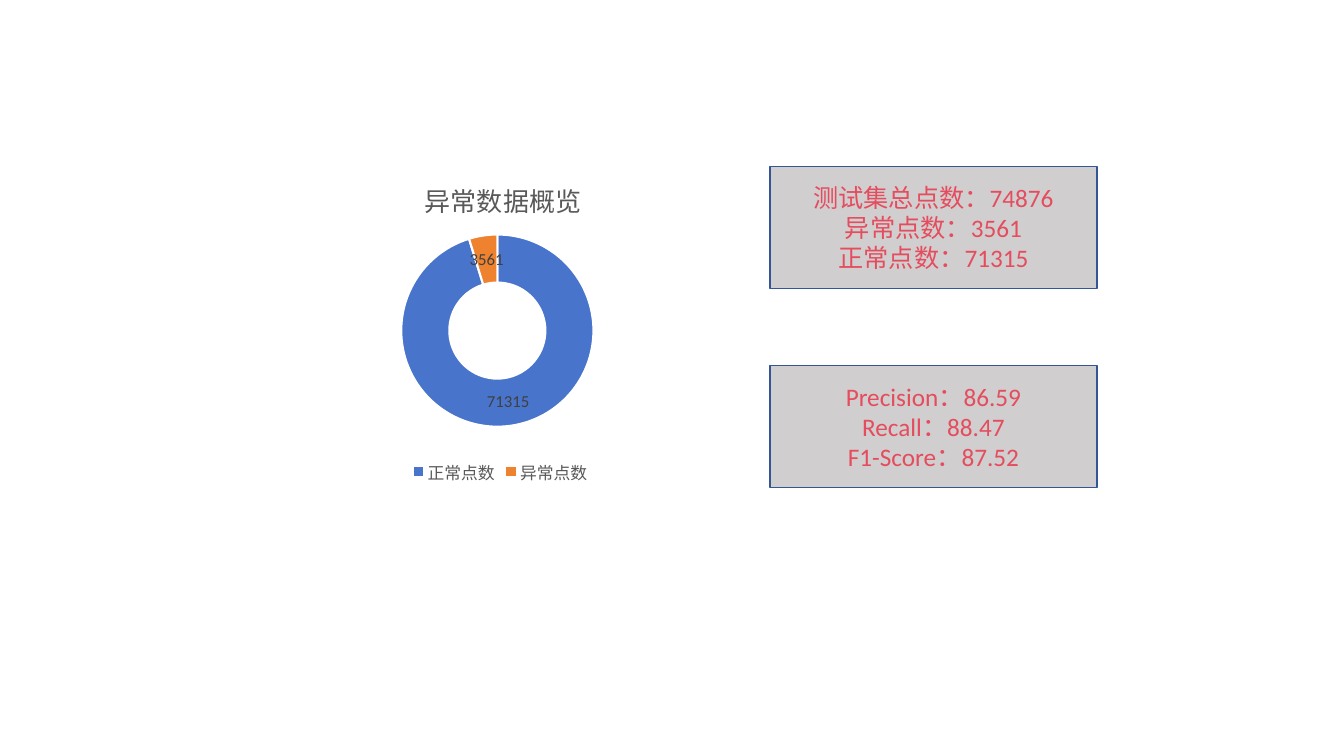
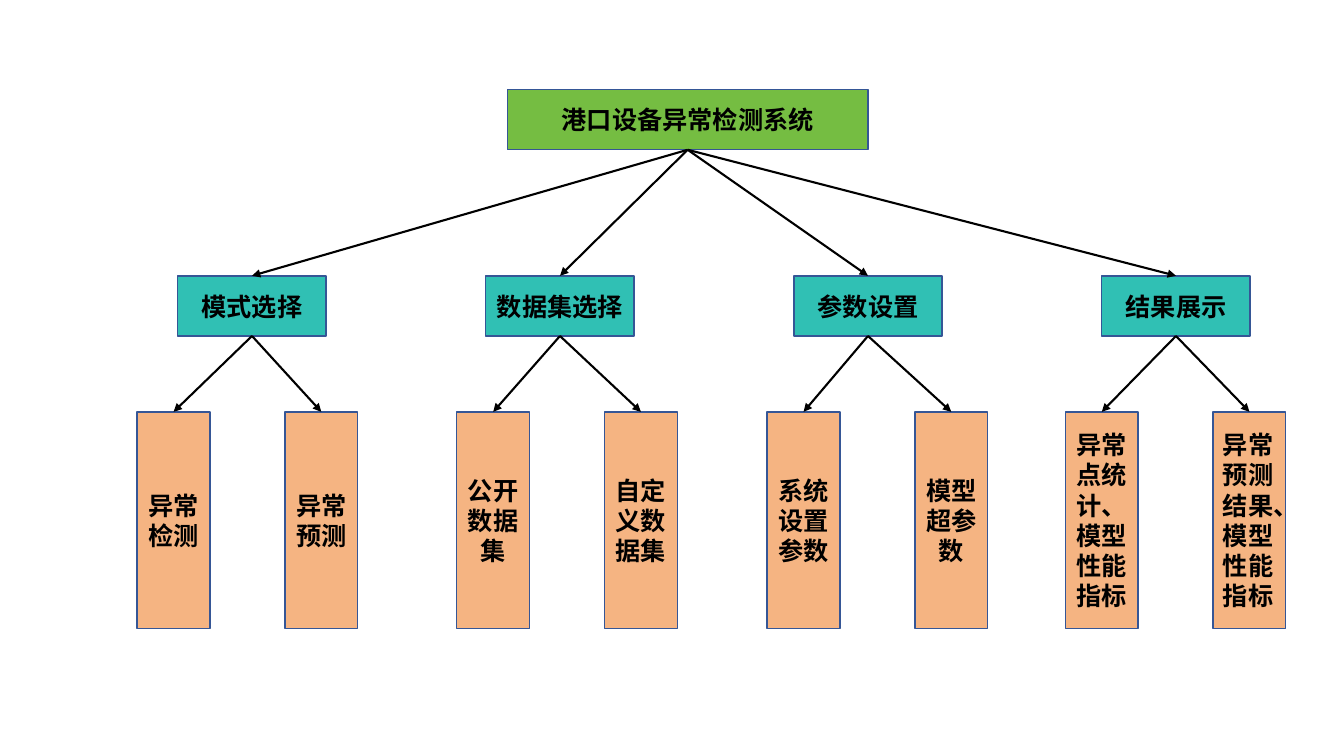
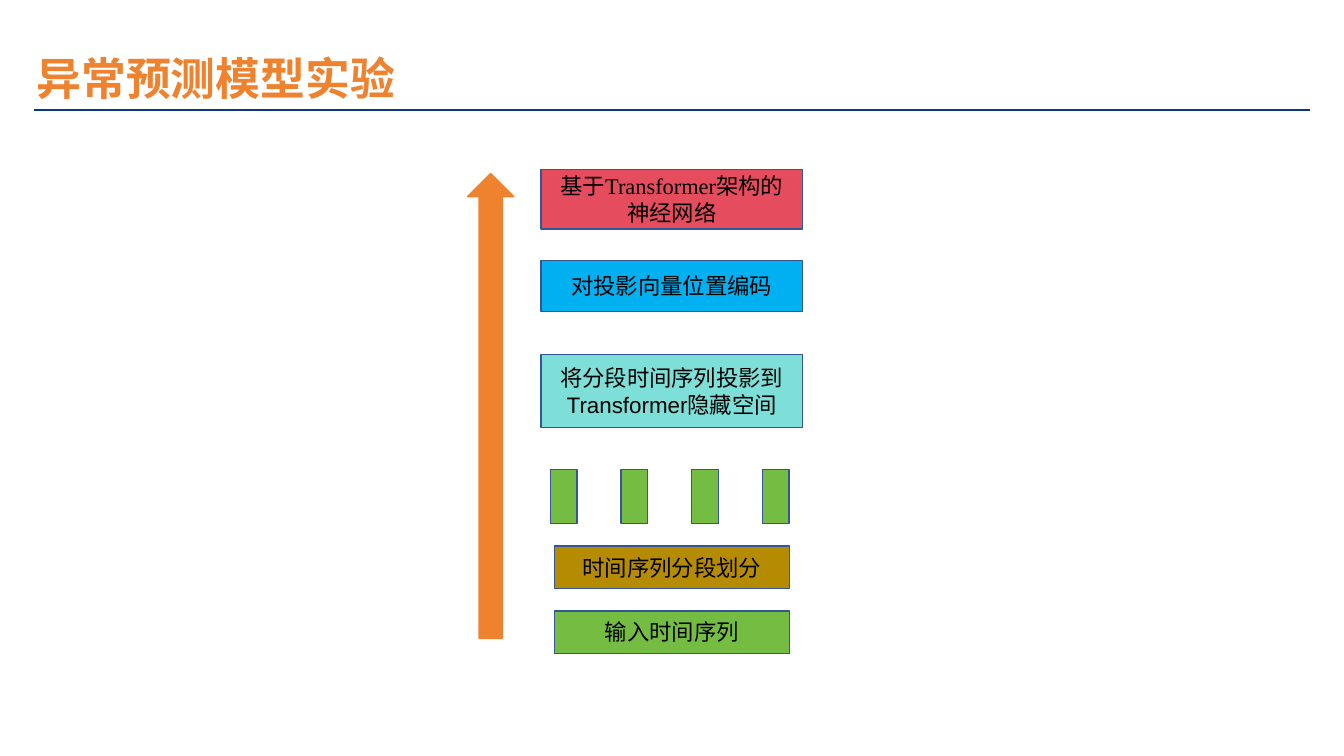
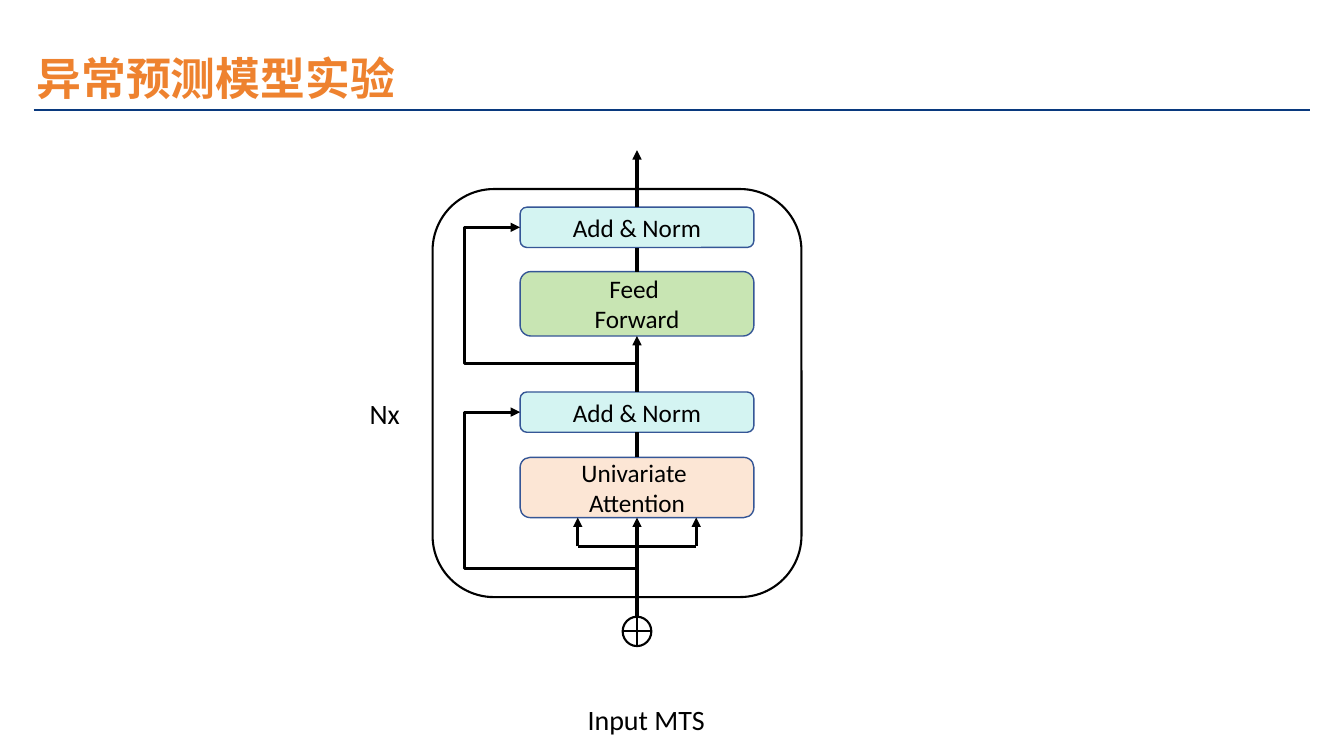
from dataclasses import dataclass

from lxml.etree import SubElement
from pptx import Presentation
from pptx.chart.data import CategoryChartData
from pptx.dml.color import RGBColor
from pptx.enum.chart import XL_CHART_TYPE as ChartKind, XL_LEGEND_POSITION as LegendPlace
from pptx.enum.shapes import MSO_CONNECTOR as Link, MSO_SHAPE as Form
from pptx.enum.text import MSO_ANCHOR as Anchor, PP_ALIGN as Align
from pptx.oxml import parse_xml
from pptx.oxml.ns import nsdecls, qn
from pptx.util import Pt

BLACK = "000000"
WHITE = "FFFFFF"
OUTLINE = "355696"
GREEN = "75BD42"
ORANGE = "EE822F"
BLUE = "4874CB"
RED = "E54C5E"
TEAL = "30C0B4"
PEACH = "F5B482"
MINT = "D4F4F2"
GREY = "D0CECE"
BODY_FONT = "Calibri"
TITLE_FONT = "Noto Sans CJK SC"
TOP, LEFT, BOTTOM = 0, 1, 2


@dataclass(frozen=True)
class TextStyle:
    size: float = 18
    colour: str = BLACK
    bold: bool = False
    font: str = BODY_FONT
    align: Align = Align.CENTER


@dataclass(frozen=True)
class Box:
    left: float
    top: float
    width: float
    height: float
    fill: str | None
    lines: tuple[str, ...] = ()
    style: TextStyle = TextStyle()
    form: Form = Form.RECTANGLE
    line: str = OUTLINE
    line_width: float = 1


@dataclass(frozen=True)
class Branch:
    label: str
    leaves: tuple[str, str]
    leaf_left: float
    last_align: Align = Align.CENTER


BRANCHES = (
    Branch("模式选择", ("异常检测", "异常预测"), 98),
    Branch("数据集选择", ("公开数据集", "自定义数据集"), 326.3),
    Branch("参数设置", ("系统设置参数", "模型超参数"), 548),
    Branch("结果展示", ("异常点统计、模型性能指标", "异常预测结果、模型性能指标"), 761, Align.LEFT),
)


def rgb(colour: str) -> RGBColor:
    return RGBColor.from_string(colour)


def set_font(font, size: float, colour: str, name: str = BODY_FONT, bold: bool = False) -> None:
    font.size = Pt(size)
    font.name = name
    font.bold = bold
    font.color.rgb = rgb(colour)


def write_lines(frame, lines: tuple[str, ...], style: TextStyle) -> None:
    frame.word_wrap = True
    for index, line in enumerate(lines):
        para = frame.add_paragraph() if index else frame.paragraphs[0]
        para.text = line
        para.alignment = style.align
        set_font(para.font, style.size, style.colour, style.font, style.bold)
        if style.font == TITLE_FONT:
            properties = para.font._element
            SubElement(properties, qn("a:ea")).set("typeface", TITLE_FONT)


def draw_box(page, box: Box):
    shape = page.shapes.add_shape(
        box.form, Pt(box.left), Pt(box.top), Pt(box.width), Pt(box.height))
    shape.shadow.inherit = False
    if box.fill:
        shape.fill.solid()
        shape.fill.fore_color.rgb = rgb(box.fill)
    else:
        shape.fill.background()
    shape.line.color.rgb = rgb(box.line)
    shape.line.width = Pt(box.line_width)
    shape.text_frame.vertical_anchor = Anchor.MIDDLE
    write_lines(shape.text_frame, box.lines, box.style)
    return shape


def draw_text(page, left: float, top: float, width: float, height: float,
              text: str, style: TextStyle) -> None:
    box = page.shapes.add_textbox(Pt(left), Pt(top), Pt(width), Pt(height))
    write_lines(box.text_frame, (text,), style)


def draw_line(page, start: tuple[float, float], end: tuple[float, float],
              width: float = 2.25, arrow: bool = False, colour: str = BLACK,
              kind: Link = Link.STRAIGHT):
    line = page.shapes.add_connector(
        kind, Pt(start[0]), Pt(start[1]), Pt(end[0]), Pt(end[1]))
    line.line.color.rgb = rgb(colour)
    line.line.width = Pt(width)
    if arrow:
        SubElement(line.line._get_or_add_ln(), qn("a:tailEnd")).set("type", "triangle")
    SubElement(line._element.spPr, qn("a:effectLst"))
    return line


def join(page, source, source_side: int, target, target_side: int,
         width: float = 2.25, arrow: bool = False) -> None:
    line = draw_line(page, (0, 0), (1, 1), width, arrow)
    line.begin_connect(source, source_side)
    line.end_connect(target, target_side)


def draw_bypass(page, start: tuple[float, float], end: tuple[float, float],
                lane: float) -> None:
    elbow = draw_line(page, start, end, arrow=True, kind=Link.ELBOW)
    geometry = elbow._element.spPr.find(qn("a:prstGeom"))
    guides = geometry.find(qn("a:avLst"))
    if guides is None:
        guides = SubElement(geometry, qn("a:avLst"))
    ratio = (start[0] - lane) / (start[0] - end[0])
    guide = SubElement(guides, qn("a:gd"))
    guide.set("name", "adj1")
    guide.set("fmla", f"val {round(ratio * 100000)}")


def draw_heading(page) -> None:
    draw_line(page, (24, 78.5), (936, 78.5), 1, colour="09397E")
    draw_text(page, 19, 33, 528, 46, "异常预测模型实验",
              TextStyle(32, ORANGE, True, TITLE_FONT, Align.LEFT))


def place_part(part, index: int, values: dict[str, float]) -> None:
    old = part.find(qn("c:layout"))
    if old is not None:
        part.remove(old)
    modes = "".join(f'<c:{axis}Mode val="edge"/>' for axis in "xy")
    sizes = "".join(f'<c:{name} val="{value}"/>' for name, value in values.items())
    target = '<c:layoutTarget val="inner"/>' if "w" in values else ""
    part.insert(index, parse_xml(
        f'<c:layout {nsdecls("c")}><c:manualLayout>{target}{modes}{sizes}'
        "</c:manualLayout></c:layout>"))


def draw_doughnut(page) -> None:
    data = CategoryChartData()
    data.categories = ["正常点数", "异常点数"]
    data.add_series("Series 1", (71315, 3561))
    chart = page.shapes.add_chart(
        ChartKind.DOUGHNUT, Pt(136), Pt(109), Pt(443), Pt(240), data).chart
    set_font(chart.font, 10, BLACK)

    chart.has_title = True
    para = chart.chart_title.text_frame.paragraphs[0]
    para.text = "异常数据概览"
    set_font(para.font, 18.6, "595959")
    place_part(chart.element.xpath("c:chart/c:title")[0], 1, {"x": 0.37, "y": 0.06})
    place_part(chart.element.xpath("c:chart/c:plotArea")[0], 0,
               {"x": 0.34, "y": 0.24, "w": 0.31, "h": 0.58})

    chart.has_legend = True
    chart.legend.position = LegendPlace.BOTTOM
    chart.legend.include_in_layout = False
    set_font(chart.legend.font, 12, "595959")

    plot = chart.plots[0]
    plot.vary_by_categories = True
    chart.element.xpath(".//c:holeSize")[0].set("val", "75")
    plot.has_data_labels = True
    plot.data_labels.show_value = True
    plot.data_labels.show_percentage = False
    set_font(plot.data_labels.font, 12, "404040")
    for index, colour in enumerate((BLUE, ORANGE)):
        point = plot.series[0].points[index].format
        point.fill.solid()
        point.fill.fore_color.rgb = rgb(colour)
        point.line.color.rgb = rgb(WHITE)
        point.line.width = Pt(1.5)


def build_overview(page) -> None:
    cards = (
        ("测试集总点数：74876", "异常点数：3561", "正常点数：71315"),
        ("Precision：86.59", "Recall：88.47", "F1-Score：87.52"),
    )
    for index, lines in enumerate(cards):
        draw_box(page, Box(550, 119 + 142.2 * index, 233.5, 87, GREY, lines,
                           TextStyle(colour=RED)))
    draw_doughnut(page)


def build_system_tree(page) -> None:
    bold = TextStyle(bold=True)
    root = draw_box(page, Box(362.4, 64, 257.6, 43, GREEN, ("港口设备异常检测系统",), bold))
    for index, branch in enumerate(BRANCHES):
        node = draw_box(page, Box(127 + 220 * index, 197, 106, 43, TEAL, (branch.label,), bold))
        join(page, root, BOTTOM, node, TOP, 1.5, True)
        aligns = (Align.CENTER, branch.last_align)
        for place, (label, align) in enumerate(zip(branch.leaves, aligns)):
            leaf = draw_box(page, Box(
                branch.leaf_left + 105.5 * place, 294.2, 52, 154.8, PEACH, (label,),
                TextStyle(bold=True, align=align)))
            join(page, node, BOTTOM, leaf, TOP, 1.5, True)


def build_pipeline(page) -> None:
    draw_heading(page)
    plain = TextStyle(16)
    steps = (
        Box(396, 436.3, 168, 30.3, GREEN, ("输入时间序列",), plain),
        Box(396, 390, 168, 30.3, "B58B01", ("时间序列分段划分",), plain),
        Box(386.5, 253.4, 186.8, 52, "7DDFD7",
            ("将分段时间序列投影到Transformer隐藏空间",), TextStyle(16, font="Arial")),
        Box(386.5, 186, 186.8, 36.5, "00B0F0", ("对投影向量位置编码",), plain),
        Box(386.5, 121, 186.8, 42.7, RED, ("基于Transformer架构的神经网络",),
            TextStyle(16, font="Times New Roman")),
        Box(334, 124, 33, 332, ORANGE, form=Form.UP_ARROW, line=ORANGE),
    )
    segments = tuple(Box(393.3 + 50.4 * index, 335.5, 19, 38.5, GREEN) for index in range(4))
    for box in steps + segments:
        draw_box(page, box)


def build_encoder(page) -> None:
    def layer(top: float, height: float, fill: str, *lines: str):
        return draw_box(page, Box(371.5, top, 167, height, fill, lines,
                                  form=Form.ROUNDED_RECTANGLE))

    centre = 455
    draw_box(page, Box(309, 135, 263.5, 291.5, None, form=Form.ROUNDED_RECTANGLE,
                       line=BLACK, line_width=1.5))
    draw_heading(page)
    attention = layer(326.7, 43, "FCE6D5", "Univariate ", "Attention")
    lower_norm = layer(280, 28.8, MINT, "Add & Norm")
    feed = layer(194, 46, "C8E5B3", "Feed ", "Forward")
    upper_norm = layer(148, 28.8, MINT, "Add & Norm")
    entry = draw_box(page, Box(centre - 10.25, 440.5, 20.5, 21, None, form=Form.FLOWCHART_OR,
                               line=BLACK, line_width=1.5))

    join(page, entry, TOP, attention, BOTTOM, arrow=True)
    join(page, attention, TOP, lower_norm, BOTTOM)
    join(page, lower_norm, TOP, feed, BOTTOM, arrow=True)
    join(page, feed, TOP, upper_norm, BOTTOM)
    draw_line(page, (centre, 107.3), (centre, 148)).begin_x
    exit_line = page.shapes[-1]
    exit_line.begin_connect(upper_norm, TOP)
    exit_line.end_x, exit_line.end_y = Pt(centre), Pt(107.3)
    SubElement(exit_line.line._get_or_add_ln(), qn("a:tailEnd")).set("type", "triangle")

    fork = 42.3
    draw_line(page, (centre - fork, 390.2), (centre + fork, 390.2))
    for side in (-fork, fork):
        draw_line(page, (centre + side, 390.2), (centre + side, 369.7), arrow=True)
    for start, end in ((406, 294.4), (259.5, 162.4)):
        draw_bypass(page, (centre, start), (371.5, end), 331.7)

    label = TextStyle(20, align=Align.LEFT)
    draw_text(page, 257, 280, 52.5, 31.5, "Nx", label)
    draw_text(page, 412.6, 498.5, 119, 31.5, "Input MTS", label)


def main() -> None:
    deck = Presentation()
    deck.slide_width, deck.slide_height = Pt(960), Pt(540)
    for build in (build_overview, build_system_tree, build_pipeline, build_encoder):
        build(deck.slides.add_slide(deck.slide_layouts[6]))
    deck.save("out.pptx")


if __name__ == "__main__":
    main()
